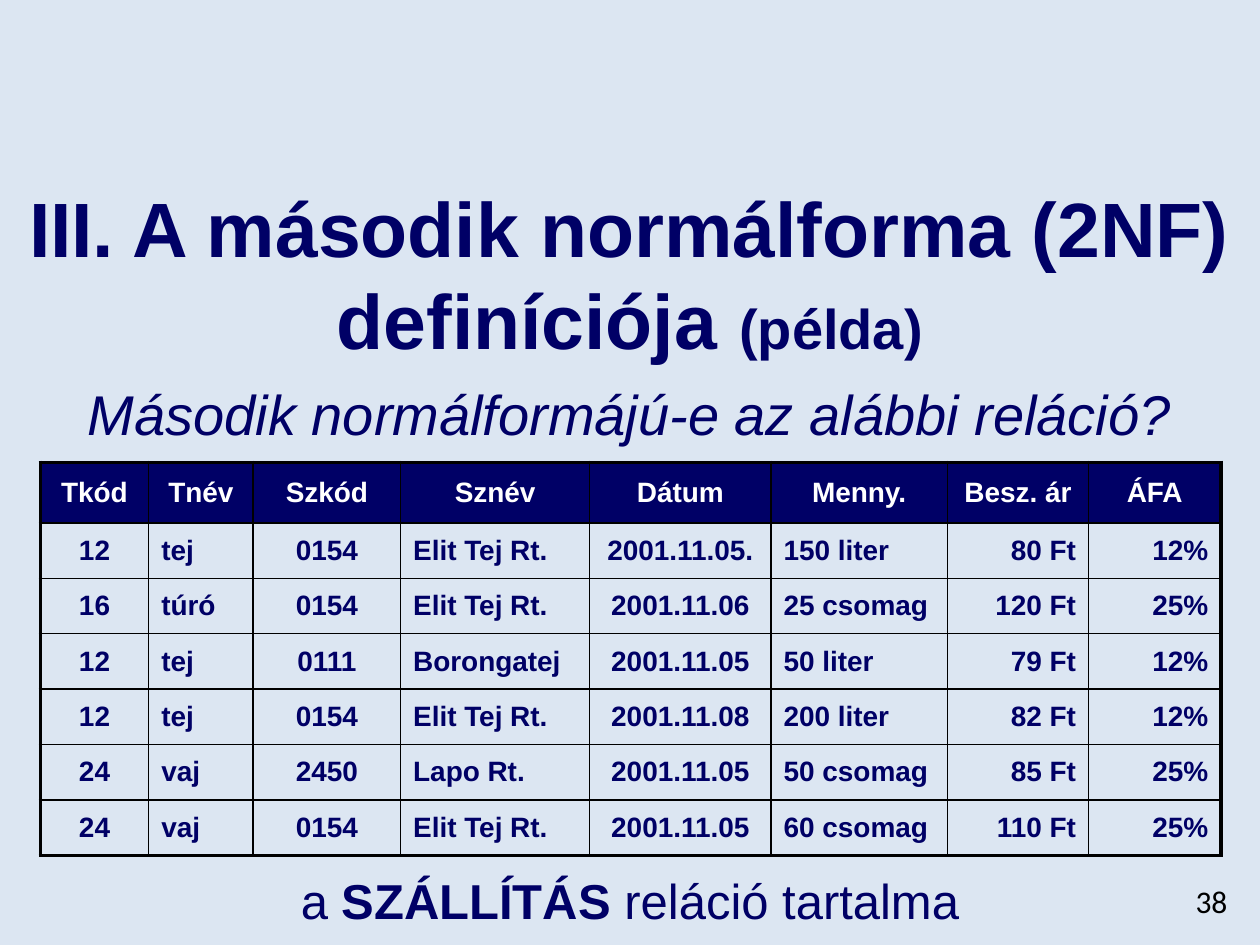
from lxml.etree import SubElement
from pptx import Presentation
from pptx.dml.color import RGBColor
from pptx.enum.text import MSO_ANCHOR, PP_ALIGN
from pptx.oxml.ns import qn
from pptx.util import Inches, Pt

NAVY, WHITE, BLACK, PALE = "000066", "FFFFFF", "000000", "DCE6F2"
LEFT, CENTER, RIGHT = PP_ALIGN.LEFT, PP_ALIGN.CENTER, PP_ALIGN.RIGHT

TITLE = [("III. A második normálforma (2NF) definíciója ", 44, True, False),
         ("(példa)", 32, True, False)]
QUESTION = [("Második normálformájú-e az alábbi reláció?", 32, False, True)]
CAPTION = [("a ", 28, False, False),
           ("SZÁLLÍTÁS", 28, True, False),
           (" reláció tartalma", 28, False, False)]
NUMBER = [("38", 18, False, False)]

COLUMNS = [
    ("Tkód", 0.86, CENTER),
    ("Tnév", 0.83, LEFT),
    ("Szkód", 1.17, CENTER),
    ("Sznév", 1.5, LEFT),
    ("Dátum", 1.44, CENTER),
    ("Menny.", 1.4, LEFT),
    ("Besz. ár", 1.12, RIGHT),
    ("ÁFA", 1.05, RIGHT),
]
ROWS = [
    ("12", "tej", "0154", "Elit Tej Rt.", "2001.11.05.", "150 liter", "80 Ft", "12%"),
    ("16", "túró", "0154", "Elit Tej Rt.", "2001.11.06", "25 csomag", "120 Ft", "25%"),
    ("12", "tej", "0111", "Borongatej", "2001.11.05", "50 liter", "79 Ft", "12%"),
    ("12", "tej", "0154", "Elit Tej Rt.", "2001.11.08", "200 liter", "82 Ft", "12%"),
    ("24", "vaj", "2450", "Lapo Rt.", "2001.11.05", "50 csomag", "85 Ft", "25%"),
    ("24", "vaj", "0154", "Elit Tej Rt.", "2001.11.05", "60 csomag", "110 Ft", "25%"),
]
HEADER_H, ROW_H = 0.48, 0.44
THIN, THICK = 1, 2.25


def rgb(color):
    return RGBColor.from_string(color)


def style(r, size, color, bold=False, italic=False, font="Arial"):
    r.font.name = font
    r.font.size = Pt(size)
    r.font.bold = bold
    r.font.italic = italic
    r.font.color.rgb = rgb(color)


def add_text(s, box, runs, align=CENTER, anchor=MSO_ANCHOR.MIDDLE,
             color=NAVY, font="Arial"):
    tf = s.shapes.add_textbox(*map(Inches, box)).text_frame
    tf.word_wrap = True
    tf.vertical_anchor = anchor
    p = tf.paragraphs[0]
    p.alignment = align
    for text, size, bold, italic in runs:
        r = p.add_run()
        r.text = text
        style(r, size, color, bold, italic, font)


def set_borders(cell, widths):
    tc_pr = cell._tc.get_or_add_tcPr()
    for i, (side, width) in enumerate(widths.items()):
        ln = tc_pr.makeelement(qn(f"a:{side}"), {"w": str(int(Pt(width)))})
        fill = SubElement(ln, qn("a:solidFill"))
        SubElement(fill, qn("a:srgbClr"), val=BLACK)
        tc_pr.insert(i, ln)


def add_table(s, left, top):
    data = [[name for name, _, _ in COLUMNS], *ROWS]
    last_row, last_col = len(data) - 1, len(COLUMNS) - 1
    width = sum(w for _, w, _ in COLUMNS)
    height = HEADER_H + ROW_H * len(ROWS)
    frame = s.shapes.add_table(len(data), len(COLUMNS), Inches(left), Inches(top),
                               Inches(width), Inches(height))
    table = frame.table
    for col, (_, w, _) in zip(table.columns, COLUMNS):
        col.width = Inches(w)
    for i, values in enumerate(data):
        header = i == 0
        table.rows[i].height = Inches(HEADER_H if header else ROW_H)
        for j, value in enumerate(values):
            cell = table.cell(i, j)
            cell.vertical_anchor = MSO_ANCHOR.MIDDLE
            if header:
                cell.fill.solid()
                cell.fill.fore_color.rgb = rgb(NAVY)
            else:
                cell.fill.background()
            p = cell.text_frame.paragraphs[0]
            p.text = value
            p.alignment = CENTER if header else COLUMNS[j][2]
            style(p.runs[0], 16, WHITE if header else NAVY, bold=True)
            set_borders(cell, {
                "lnL": THICK if j == 0 else THIN,
                "lnR": THICK if j == last_col else THIN,
                "lnT": THICK if header else THIN,
                "lnB": THICK if i == last_row else THIN,
            })


def main():
    prs = Presentation()
    prs.slide_width, prs.slide_height = Inches(10), Inches(7.5)
    s = prs.slides.add_slide(prs.slide_layouts[6])
    s.background.fill.solid()
    s.background.fill.fore_color.rgb = rgb(PALE)
    add_text(s, (0, 1.36, 10, 1.61), TITLE)
    add_text(s, (9.33, 6.95, 0.51, 0.42), NUMBER, RIGHT, MSO_ANCHOR.TOP, BLACK, "Calibri")
    add_text(s, (0, 2.96, 10, 0.71), QUESTION, anchor=MSO_ANCHOR.TOP)
    add_table(s, 0.32, 3.67)
    add_text(s, (0, 6.79, 10, 0.71), CAPTION)
    prs.save("out.pptx")


if __name__ == "__main__":
    main()
